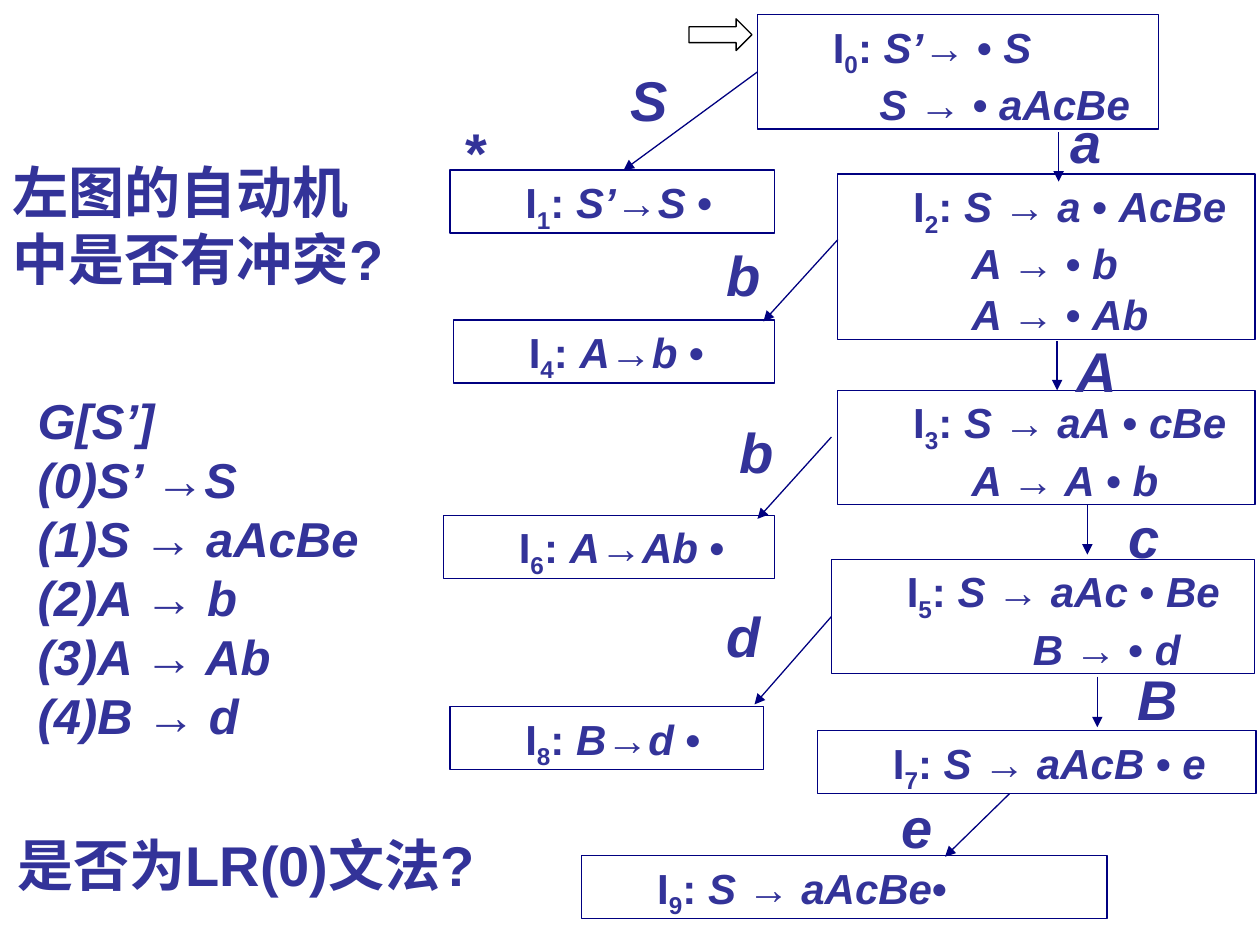
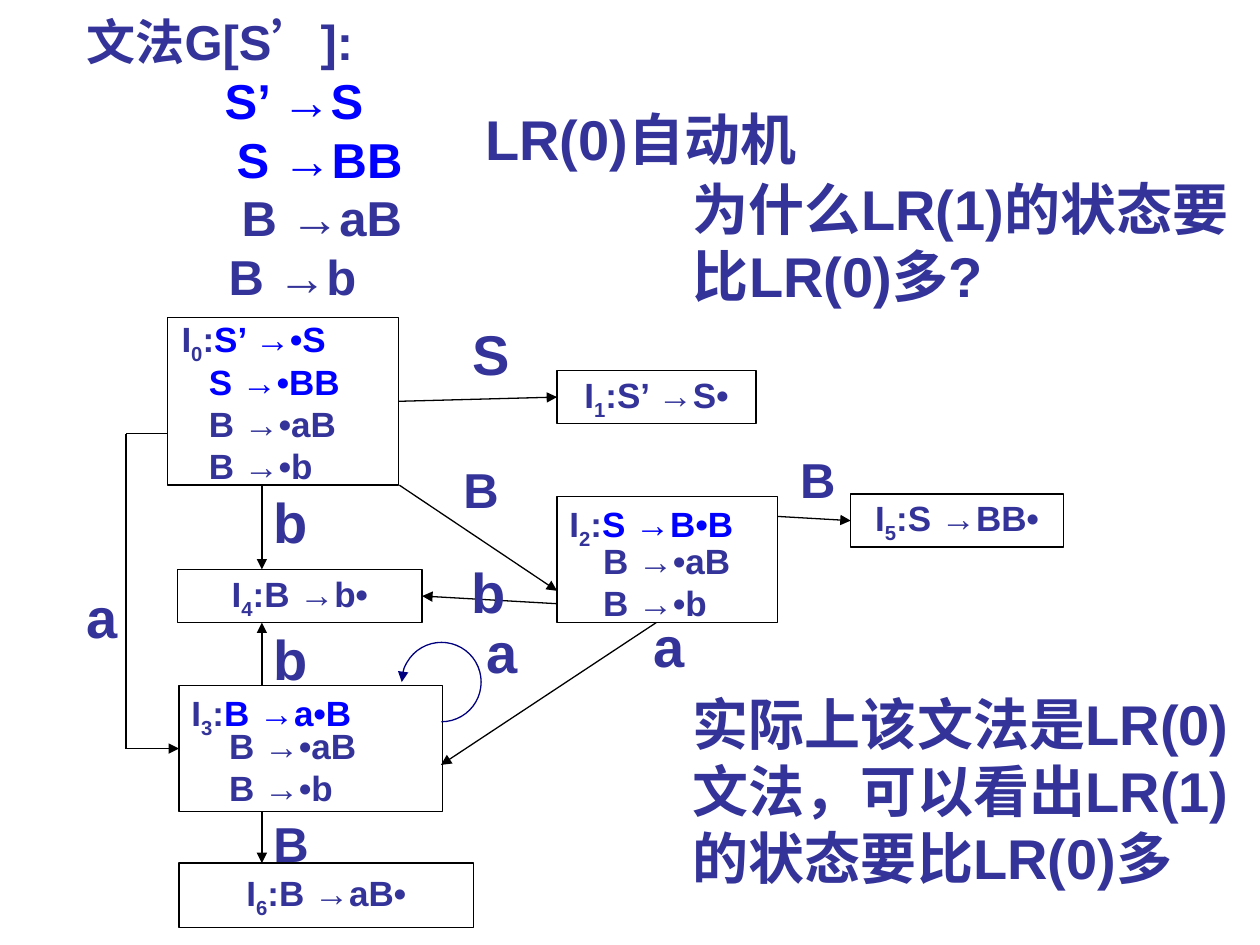
from itertools import groupby, repeat
from math import dist

from lxml.etree import SubElement
from pptx import Presentation
from pptx.dml.color import RGBColor
from pptx.enum.shapes import MSO_CONNECTOR, MSO_SHAPE
from pptx.enum.text import MSO_ANCHOR, MSO_AUTO_SIZE, PP_ALIGN
from pptx.oxml.ns import qn
from pptx.util import Cm, Pt

INDIGO = RGBColor(0x33, 0x33, 0x99)
BLUE = RGBColor(0x00, 0x00, 0xFF)
NAVY = RGBColor(0x00, 0x00, 0x80)
BLACK = RGBColor(0x00, 0x00, 0x00)
WHITE = RGBColor(0xFF, 0xFF, 0xFF)
FONT = "Arial"
LINE_WIDTH = Pt(0.75)
ITALIC, SUBSCRIPT, HIGHLIGHT = "/", "_", "~"
SNAP = 0.15


def split_runs(text):
    active = frozenset()
    marked = []
    for letter in text:
        if letter in (ITALIC, SUBSCRIPT, HIGHLIGHT):
            active ^= {letter}
        else:
            marked.append((letter, active))
    for marks, group in groupby(marked, key=lambda pair: pair[1]):
        yield "".join(letter for letter, _ in group), marks


def write(shape, lines, size=32, indents=None, align=PP_ALIGN.LEFT,
          anchor=MSO_ANCHOR.TOP, margin_top=0.13):
    frame = shape.text_frame
    frame.word_wrap = True
    frame.auto_size = MSO_AUTO_SIZE.NONE
    frame.vertical_anchor = anchor
    frame.margin_top = Cm(margin_top)
    for number, (line, indent) in enumerate(zip(lines, indents or repeat(0))):
        paragraph = frame.add_paragraph() if number else frame.paragraphs[0]
        paragraph.alignment = align
        properties = paragraph._p.get_or_add_pPr()
        properties.set("marL", str(Cm(indent)))
        properties.set("indent", "0")
        for text, marks in split_runs(line):
            run = paragraph.add_run()
            run.text = text
            run.font.name = FONT
            run.font.size = Pt(size)
            run.font.bold = True
            run.font.italic = ITALIC in marks
            run.font.color.rgb = BLUE if HIGHLIGHT in marks else INDIGO
            if SUBSCRIPT in marks:
                run._r.get_or_add_rPr().set("baseline", "-25000")


def add_text(slide, box, lines, **text_format):
    shape = slide.shapes.add_textbox(*map(Cm, box))
    write(shape, lines, **text_format)
    return shape


def add_title(slide, box, text):
    title = slide.shapes.title
    title.left, title.top, title.width, title.height = map(Cm, box)
    write(title, [text])


def add_outline(slide, kind, box, color):
    shape = slide.shapes.add_shape(kind, *map(Cm, box))
    shape.shadow.inherit = False
    shape.fill.solid()
    shape.fill.fore_color.rgb = WHITE
    shape.line.color.rgb = color
    shape.line.width = LINE_WIDTH
    return shape


def add_arrowhead(shape, end):
    line = shape.line._get_or_add_ln()
    SubElement(line, qn(f"a:{end}")).set("type", "triangle")


def side_middles(state):
    left, top, width, height = (
        length.cm for length in (state.left, state.top, state.width, state.height))
    return ((left + width / 2, top), (left, top + height / 2),
            (left + width / 2, top + height), (left + width, top + height / 2))


def add_arrow(slide, start, end, color, states, head=True):
    connector = slide.shapes.add_connector(
        MSO_CONNECTOR.STRAIGHT, *map(Cm, (*start, *end)))
    connector.line.color.rgb = color
    connector.line.width = LINE_WIDTH
    if head:
        add_arrowhead(connector, "tailEnd")
    SubElement(connector._element.spPr, qn("a:effectLst"))
    for state in states:
        for side, middle in enumerate(side_middles(state)):
            if dist(start, middle) < SNAP:
                connector.begin_connect(state, side)
            if dist(end, middle) < SNAP:
                connector.end_connect(state, side)


def shift(origin, point):
    return origin[0] + point[0], origin[1] + point[1]


def add_arrows(slide, origin, arrows, color, states):
    for start, end in arrows:
        add_arrow(slide, shift(origin, start), shift(origin, end), color, states)


def add_labels(slide, origin, labels):
    for text, point, size in labels:
        add_text(slide, (*shift(origin, point), 1.4, 1.63), [text], size=size)


def add_conflict_automaton(slide, origin):
    level, deeper, tab = 1.27, 2.45, 3.81
    item_sets = [
        ((6.37, 0), 8.08, ["I_0_: /S’→/ • /S/", "/S → /• /aAcBe/"], [level, 2.21]),
        ((0.17, 3.13), 6.55, ["I_1_: /S’→S/ •"], [level]),
        ((7.99, 3.21), 8.41,
         ["I_2_: /S → a/ • /AcBe/", "/A → /• /b/", "/A → /• /Ab/"],
         [level, deeper, deeper]),
        ((7.99, 7.57), 8.41, ["I_3_: /S → aA/ • /cBe/", "/A → A/ • /b/"],
         [level, deeper]),
        ((0.24, 6.15), 6.48, ["I_4_: /A→b/ •"], [level]),
        ((7.86, 10.98), 8.53, ["I_5_: /S → aAc/ • /Be/", "/B → /• /d/"], [level, tab]),
        ((0.04, 10.09), 6.68, ["I_6_: /A→Ab/ •"], [level]),
        ((7.58, 14.43), 8.84, ["I_7_: /S → aAcB/ • /e/"], [level]),
        ((0.17, 13.95), 6.32, ["I_8_: /B→d/ •"], [level]),
        ((2.83, 16.95), 10.59, ["I_9_: /S → aAcBe/•"], [level]),
    ]
    states = []
    for point, width, lines, indents in item_sets:
        height = 0.24 + 1.03 * len(lines)
        state = add_outline(slide, MSO_SHAPE.RECTANGLE,
                            (*shift(origin, point), width, height), NAVY)
        write(state, lines, size=24, indents=indents)
        states.append(state)
    add_arrows(slide, origin, [
        ((6.31, 1.15), (3.67, 3.13)),
        ((12.44, 2.37), (12.44, 3.36)),
        ((7.99, 4.53), (6.49, 6.18)),
        ((12.41, 6.58), (12.41, 7.57)),
        ((7.86, 8.51), (6.37, 10.16)),
        ((13.02, 9.89), (13.02, 10.88)),
        ((7.84, 12.25), (6.31, 13.9)),
        ((13.22, 13.34), (13.22, 14.36)),
        ((11.45, 15.7), (10.15, 16.97)),
    ], NAVY, states)
    add_labels(slide, origin, [
        ("/S/", (3.57, 0.89), 32), ("/a/", (12.44, 1.73), 32),
        ("/b/", (5.5, 4.42), 32), ("/A/", (12.56, 6.35), 32),
        ("/b/", (5.76, 7.98), 32), ("/c/", (13.6, 9.71), 32),
        ("/d/", (5.5, 11.69), 32), ("/B/", (13.78, 12.96), 32),
        ("/e/", (9.03, 15.55), 32), ("*", (0.24, 1.94), 32),
    ])
    add_outline(slide, MSO_SHAPE.RIGHT_ARROW,
                (*shift(origin, (4.99, 0.08)), 1.27, 0.64), BLACK)


def add_lr0_automaton(slide, origin):
    centred = {"align": PP_ALIGN.CENTER, "anchor": MSO_ANCHOR.MIDDLE}
    item_sets = [
        ((1.88, 0.1, 4.65, 3.38), "I_0_:~S’ →•S~", {"margin_top": 0, "indents": [0.03]}),
        ((9.73, 1.17, 4.01, 1.07), "I_1_:S’ →S•", centred),
        ((9.73, 3.71, 4.45, 2.54), "I_2_:~S →B•B~", {}),
        ((15.65, 3.66, 4.29, 1.07), "I_5_:S →BB•", centred),
        ((2.11, 7.52, 5.31, 2.54), "I_3_:~B →a•B~", {}),
        ((2.08, 5.18, 4.93, 1.07), "I_4_:B →b•", centred),
        ((2.11, 11.1, 5.94, 1.3), "I_6_:B →aB•", centred),
    ]
    states = []
    for (*point, width, height), text, text_format in item_sets:
        state = add_outline(slide, MSO_SHAPE.RECTANGLE,
                            (*shift(origin, point), width, height), BLACK)
        write(state, [text], size=20, **text_format)
        states.append(state)
    closure = ["B →•aB", "B →•b"]
    for point, lines in [((2.46, 0.84), ["~S →•BB~", *closure]),
                         ((10.41, 4.44), closure), ((2.87, 8.18), closure)]:
        add_text(slide, (*shift(origin, point), 3.38, 0.25 + 0.86 * len(lines)),
                 lines, size=20)
    column = 3.78
    add_arrows(slide, origin, [
        ((6.55, 1.8), (9.73, 1.8)),
        ((6.55, 3.48), (9.73, 5.61)),
        ((14.17, 4.11), (15.65, 4.06)),
        ((11.73, 6.25), (7.39, 9.12)),
        ((9.73, 5.87), (7.01, 5.84)),
        ((column, 3.48), (column, 5.18)),
        ((column, 7.52), (column, 6.25)),
        ((column, 10.06), (column, 11.1)),
    ], BLACK, states)
    bend = [shift(origin, point) for point in
            ((1.88, 2.44), (1.04, 2.44), (1.04, 8.79), (2.11, 8.79))]
    for number, (start, end) in enumerate(zip(bend, bend[1:])):
        add_arrow(slide, start, end, BLACK, states, head=number == 2)
    loop = add_outline(slide, MSO_SHAPE.ARC,
                       (*shift(origin, (6.6, 6.65)), 1.6, 1.6), NAVY)
    loop.fill.background()
    loop.adjustments[0] = 108
    loop.adjustments[1] = 54
    add_arrowhead(loop, "headEnd")
    add_labels(slide, origin, [
        ("S", (7.77, 0.02), 32), ("B", (7.59, 2.84), 28), ("B", (14.38, 2.64), 28),
        ("a", (11.43, 5.89), 32), ("b", (7.75, 4.8), 32), ("b", (3.76, 3.4), 32),
        ("b", (3.76, 6.15), 32), ("B", (3.76, 9.96), 28), ("a", (0, 5.31), 32),
        ("a", (8.05, 6.02), 32),
    ])


def add_grammar(slide, box, lines, indents=None):
    grammar = add_text(slide, box, lines, size=28, indents=indents)
    grammar.fill.solid()
    grammar.fill.fore_color.rgb = WHITE


def build_conflict_slide(presentation):
    slide = presentation.slides.add_slide(presentation.slide_layouts[5])
    add_conflict_automaton(slide, (8.9, 0.3))
    add_title(slide, (0, 3.05, 8.36, 3), "左图的自动机中是否有冲突?")
    add_text(slide, (0.1, 16.61, 11.2, 1.63), ["是否为LR(0)文法?"])
    rules = ["G[S’]", "(0)S’ →S", "(1)S → aAcBe", "(2)A → b", "(3)A → Ab", "(4)B → d"]
    add_grammar(slide, (0.51, 7.75, 7.01, 7.44), [f"/{rule}/" for rule in rules])


def build_lr0_slide(presentation):
    slide = presentation.slides.add_slide(presentation.slide_layouts[5])
    add_grammar(slide, (0, 0.1, 9.58, 6.25),
                ["文法G[S’]:", "~S’ →S~", "~S →BB~", "B →aB", "B →b"],
                indents=[1.5, 4.28, 4.52, 4.62, 4.36])
    add_lr0_automaton(slide, (1.5, 6.3))
    add_title(slide, (9.53, 1.98, 7.24, 1.63), "LR(0)自动机")
    add_text(slide, (13.72, 3.38, 11.68, 3), ["为什么LR(1)的状态要比LR(0)多?"])
    add_text(slide, (13.72, 13.77, 11.68, 4.37),
             ["实际上该文法是LR(0)文法，可以看出LR(1)的状态要比LR(0)多"])


def main():
    presentation = Presentation()
    presentation.slide_width = Cm(25.4)
    presentation.slide_height = Cm(19.05)
    build_conflict_slide(presentation)
    build_lr0_slide(presentation)
    presentation.save("out.pptx")


if __name__ == "__main__":
    main()
